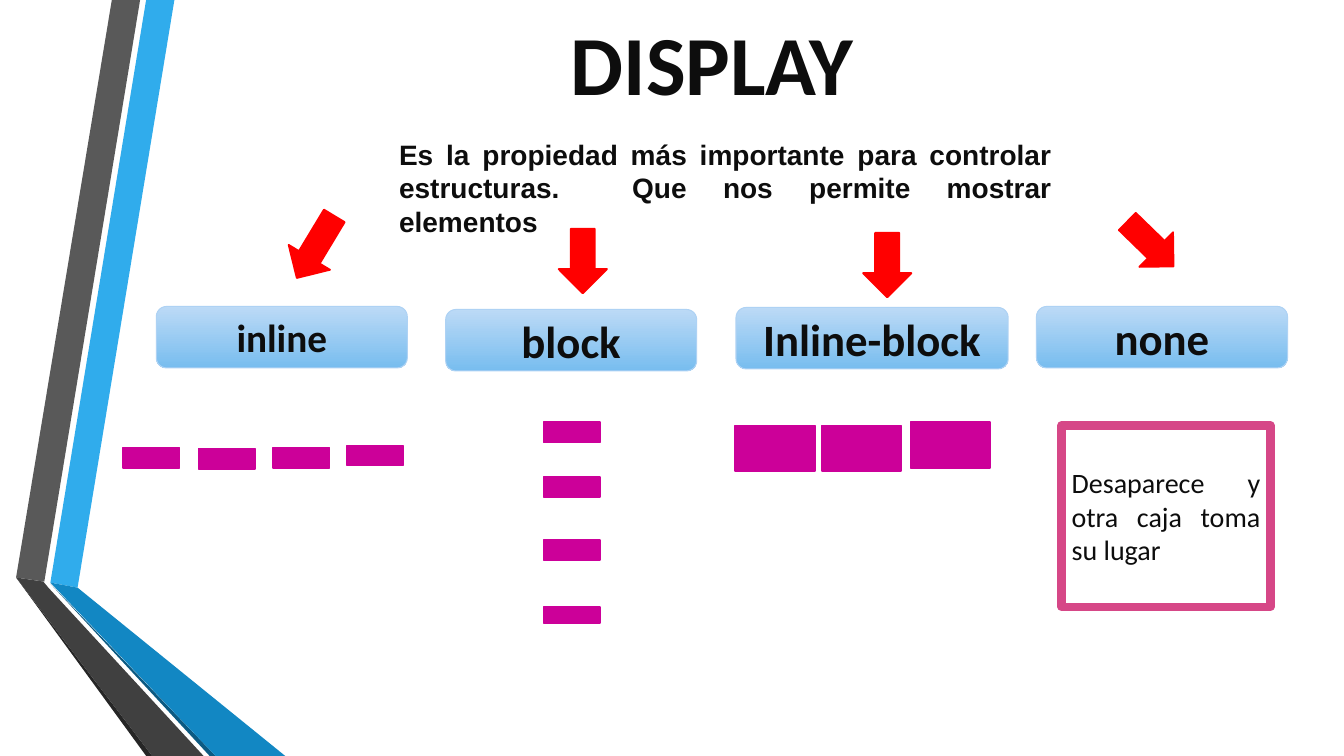
"""Build the slide about the values of the CSS display property."""
from dataclasses import dataclass

from pptx import Presentation
from pptx.dml.color import RGBColor as Rgb
from pptx.enum.shapes import MSO_SHAPE as Shape
from pptx.enum.text import MSO_ANCHOR as Anchor, PP_ALIGN as Align
from pptx.util import Pt

PX = 9144


@dataclass(frozen=True)
class Theme:
    ink: str = "0D0D0D"
    white: str = "FFFFFF"
    magenta: str = "CC0099"
    pink: str = "D64787"
    red: str = "FF0000"
    label_top: str = "BCDAF6"
    label_bottom: str = "78BDEF"
    label_edge: str = "AED2F4"
    blue: str = "30ACEC"
    blue_fold: str = "1287C3"
    blue_edge: str = "0C5A82"
    grey: str = "595959"
    grey_fold: str = "404040"
    grey_edge: str = "262626"
    title_size: int = 60
    label_size: int = 32
    small_label_size: int = 28
    text_size: int = 20


theme = Theme()
deck = Presentation()
deck.slide_width, deck.slide_height = 1333 * PX, 750 * PX
page = deck.slides.add_slide(deck.slide_layouts[6])


def add_block(kind, bounds, fill, edge, weight=1.25):
    block = page.shapes.add_shape(kind, *(length * PX for length in bounds))
    block.shadow.inherit = False
    block.line.color.rgb = Rgb.from_string(edge)
    block.line.width = Pt(weight)
    if isinstance(fill, tuple):
        block.fill.gradient()
        block.fill.gradient_angle = 270
        for stop, colour in zip(block.fill.gradient_stops, fill):
            stop.color.rgb = Rgb.from_string(colour)
    else:
        block.fill.solid()
        block.fill.fore_color.rgb = Rgb.from_string(fill)
    return block


def write(box, text, size, font="Calibri", bold=True, align=Align.CENTER, anchor=Anchor.MIDDLE):
    frame = box.text_frame
    frame.word_wrap = True
    frame.vertical_anchor = anchor
    para = frame.paragraphs[0]
    para.alignment = align
    span = para.add_run()
    span.text = text
    span.font.name, span.font.size, span.font.bold = font, Pt(size), bold
    span.font.color.rgb = Rgb.from_string(theme.ink)


ribbons = [
    (theme.blue, [(50, 578), (77, 583), (173, 0), (145, 0)]),
    (theme.grey, [(139, 0), (111, 0), (16, 573), (44, 577)]),
    (theme.grey_edge, [(16, 573), (145, 750), (151, 750)]),
    (theme.blue_edge, [(50, 579), (208, 750), (214, 750)]),
    (theme.blue_fold, [(50, 578), (214, 750), (283, 750), (77, 583)]),
    (theme.grey_fold, [(202, 750), (48, 583), (43, 577), (16, 573), (151, 750)]),
]
for colour, corners in ribbons:
    outline = page.shapes.build_freeform(*corners[0], scale=PX)
    outline.add_line_segments(corners[1:], close=True)
    ribbon = outline.convert_to_shape()
    ribbon.shadow.inherit = False
    ribbon.fill.solid()
    ribbon.fill.fore_color.rgb = Rgb.from_string(colour)
    ribbon.line.fill.background()

title = page.shapes.add_textbox(493 * PX, 32 * PX, 427 * PX, 59 * PX)
write(title, "DISPLAY", theme.title_size)

intro = page.shapes.add_textbox(386 * PX, 131 * PX, 667 * PX, 111 * PX)
write(intro, "Es la propiedad más importante para controlar estructuras.  Que nos permite mostrar elementos",
      theme.text_size, font="Arial", align=Align.JUSTIFY, anchor=Anchor.TOP)

labels = [
    ("inline", 155, 304, 249, theme.small_label_size),
    ("block", 442, 307, 249, theme.label_size),
    ("Inline-block", 730, 305, 270, theme.label_size),
    ("none", 1028, 304, 249, theme.label_size),
]
for text, left, top, width, size in labels:
    label = add_block(Shape.ROUNDED_RECTANGLE, (left, top, width, 61),
                      (theme.label_top, theme.label_bottom), theme.label_edge, 0.75)
    write(label, text, size)

inline_bars = [(left, top, 56, 20) for left, top in ((122, 444), (197, 445), (271, 444), (344, 442))]
block_bars = [(539, top, 56, height) for top, height in ((419, 20), (473, 20), (536, 20), (602, 16))]
inline_block_bars = [(left, top, 79, 45) for left, top in ((729, 422), (815, 422), (903, 419))]
for bounds in inline_bars + block_bars + inline_block_bars:
    add_block(Shape.RECTANGLE, bounds, theme.magenta, theme.magenta)

none_box = add_block(Shape.RECTANGLE, (1053, 422, 207, 180), theme.white, theme.pink, 6)
write(none_box, "Desaparece y otra caja toma su lugar", theme.text_size, bold=False, align=Align.JUSTIFY)

arrows = [(289, 209, 72, 31.1), (554, 227, 64, 0), (856, 231, 64, 0), (1117, 210, 64, 314.2)]
for left, top, height, angle in arrows:
    arrow = add_block(Shape.DOWN_ARROW, (left, top, 48, height), theme.red, theme.red)
    arrow.rotation = angle

deck.save("out.pptx")
